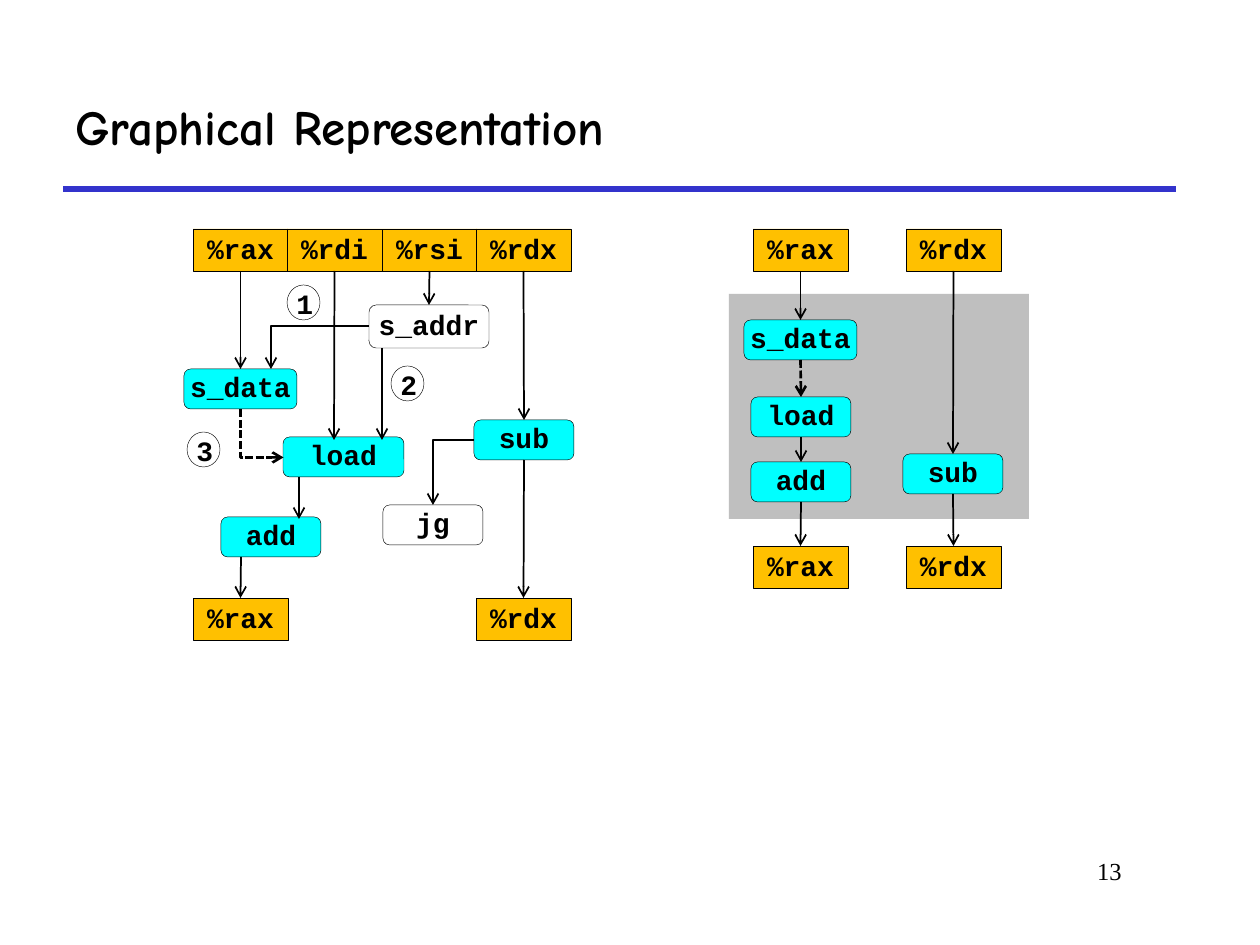
import pptx
import pptx.util
import pptx.dml.color
import pptx.enum.dml
import pptx.enum.shapes
import pptx.enum.text
import pptx.oxml.ns
import lxml.etree

PX = 914400 / 126
BLACK = pptx.dml.color.RGBColor(0x00, 0x00, 0x00)
WHITE = pptx.dml.color.RGBColor(0xFF, 0xFF, 0xFF)
ORANGE = pptx.dml.color.RGBColor(0xFF, 0xC0, 0x00)
CYAN = pptx.dml.color.RGBColor(0x00, 0xFF, 0xFF)
GREY = pptx.dml.color.RGBColor(0xBF, 0xBF, 0xBF)
BLUE = pptx.dml.color.RGBColor(0x33, 0x33, 0xCC)
RECT = pptx.enum.shapes.MSO_SHAPE.RECTANGLE
ROUND = pptx.enum.shapes.MSO_SHAPE.ROUNDED_RECTANGLE
STRAIGHT = pptx.enum.shapes.MSO_CONNECTOR.STRAIGHT
ELBOW = pptx.enum.shapes.MSO_CONNECTOR.ELBOW
ALIGN = pptx.enum.text.PP_ALIGN
MIDDLE = pptx.enum.text.MSO_ANCHOR.MIDDLE
TOP = pptx.enum.text.MSO_ANCHOR.TOP
qn = pptx.oxml.ns.qn

deck = pptx.Presentation()
deck.slide_width = pptx.util.Inches(10)
deck.slide_height = pptx.util.Inches(7.5)
slide = deck.slides.add_slide(deck.slide_layouts[6])


def write(holder, words, size, font, bold, align, anchor, spacing=1.0):
    frame = holder.text_frame
    frame.word_wrap = True
    frame.vertical_anchor = anchor
    line = frame.paragraphs[0]
    line.alignment = align
    line.line_spacing = spacing
    run = line.add_run()
    run.text = words
    run.font.size = pptx.util.Pt(size)
    run.font.name = font
    run.font.bold = bold
    run.font.color.rgb = BLACK


def connect(kind, ends, color=BLACK, weight=1, dashed=False, arrow=True):
    link = slide.shapes.add_connector(kind, *[round(v * PX) for v in ends])
    link.line.color.rgb = color
    link.line.width = pptx.util.Pt(weight)
    if dashed:
        link.line.dash_style = pptx.enum.dml.MSO_LINE.SQUARE_DOT
    if arrow:
        lxml.etree.SubElement(link.line._get_or_add_ln(), qn("a:tailEnd"), type="arrow")
    lxml.etree.SubElement(link._element.spPr, qn("a:effectLst"))
    return link


connect(STRAIGHT, (63, 189, 1176, 189), BLUE, 3, arrow=False)

loop_body = slide.shapes.add_shape(RECT, *[round(v * PX) for v in (729, 294, 300, 225)])
loop_body.shadow.inherit = False
loop_body.fill.solid()
loop_body.fill.fore_color.rgb = GREY
loop_body.line.fill.background()

title = slide.shapes.add_textbox(*[round(v * PX) for v in (63, 63, 1113, 126)])
write(title, "Graphical Representation", 28, "Comic Neue", True, ALIGN.LEFT, MIDDLE)
page_number = slide.shapes.add_textbox(*[round(v * PX) for v in (955, 850, 179, 63)])
write(page_number, "13", 14, "Times New Roman", False, ALIGN.RIGHT, TOP)

registers = [
    (f"{register} in", "%" + register, RECT, ORANGE, 193 + column * 189 // 2, 229, 95, 42)
    for column, register in enumerate(("rax", "rdi", "rsi", "rdx"))
]
registers += [
    ("rax out", "%rax", RECT, ORANGE, 193, 598, 95, 42),
    ("rdx out", "%rdx", RECT, ORANGE, 476, 598, 95, 42),
]
for register, x in (("rax", 753), ("rdx", 906)):
    for stage, y in (("in", 229), ("out", 546)):
        registers.append((f"loop {register} {stage}", "%" + register, RECT, ORANGE, x, y, 95, 42))
operations = [
    ("sub", "sub", ROUND, CYAN, 474, 420, 100, 40),
    ("s_addr", "s_addr", ROUND, WHITE, 369, 305, 120, 43),
    ("jg", "jg", ROUND, WHITE, 383, 505, 100, 40),
    ("s_data", "s_data", ROUND, CYAN, 184, 369, 113, 40),
    ("add", "add", ROUND, CYAN, 221, 517, 100, 40),
    ("load", "load", ROUND, CYAN, 283, 437, 121, 40),
    ("loop sub", "sub", ROUND, CYAN, 903, 454, 100, 40),
    ("loop add", "add", ROUND, CYAN, 751, 462, 100, 40),
    ("loop load", "load", ROUND, CYAN, 751, 397, 100, 40),
    ("loop s_data", "s_data", ROUND, CYAN, 744, 320, 113, 40),
]
nodes = {}
for key, label, outline, color, *place in registers + operations:
    node = slide.shapes.add_shape(outline, *[round(v * PX) for v in place])
    node.shadow.inherit = False
    node.fill.solid()
    node.fill.fore_color.rgb = color
    node.line.color.rgb = BLACK
    node.line.width = pptx.util.Pt(0.25)
    frame = node.text_frame
    frame.margin_left = frame.margin_right = frame.margin_top = frame.margin_bottom = 0
    write(node, label, 16, "Courier New", True, ALIGN.CENTER, MIDDLE, 0.9)
    nodes[key] = node

for source, target, dashed in (
    ("rax in", "s_data", False),
    ("rsi in", "s_addr", False),
    ("rdx in", "sub", False),
    ("sub", "rdx out", False),
    ("loop rax in", "loop s_data", False),
    ("loop s_data", "loop load", True),
    ("loop load", "loop add", False),
    ("loop add", "loop rax out", False),
    ("loop rdx in", "loop sub", False),
    ("loop sub", "loop rdx out", False),
):
    flow = connect(STRAIGHT, (0, 0, 0, 0), weight=1.5 if dashed else 1, dashed=dashed)
    flow.begin_connect(nodes[source], 2)
    flow.end_connect(nodes[target], 0)

rdi_to_load = connect(STRAIGHT, (334, 271, 334, 440))
rdi_to_load.begin_connect(nodes["rdi in"], 2)
add_to_rax = connect(STRAIGHT, (241, 557, 241, 598))
add_to_rax.end_connect(nodes["rax out"], 0)
connect(STRAIGHT, (299, 477, 299, 519))
connect(STRAIGHT, (382, 348, 382, 440))

addr_to_data = connect(ELBOW, (369, 326, 271, 369))
sub_to_jg = connect(ELBOW, (474, 440, 433, 505))
data_to_load = connect(ELBOW, (286, 412, 238, 455), weight=1.5, dashed=True)
data_to_load._element.spPr.find(qn("a:xfrm")).set("rot", "16200000")
for bend in (addr_to_data, sub_to_jg, data_to_load):
    bend._element.spPr.find(qn("a:prstGeom")).set("prst", "bentConnector2")

for step, x, y in (("1", 284, 284), ("2", 388, 365), ("3", 184, 431)):
    marker = slide.shapes.add_group_shape()
    digit = marker.shapes.add_textbox(*[round(v * PX) for v in (x, y, 37, 43)])
    write(digit, step, 16, "Courier New", True, ALIGN.LEFT, TOP, 0.9)
    ring = marker.shapes.add_shape(
        pptx.enum.shapes.MSO_SHAPE.OVAL, *[round(v * PX) for v in (x + 3, y + 1, 33, 35)]
    )
    ring.shadow.inherit = False
    ring.fill.background()
    ring.line.color.rgb = BLACK
    ring.line.width = pptx.util.Pt(0.25)

deck.save("out.pptx")
